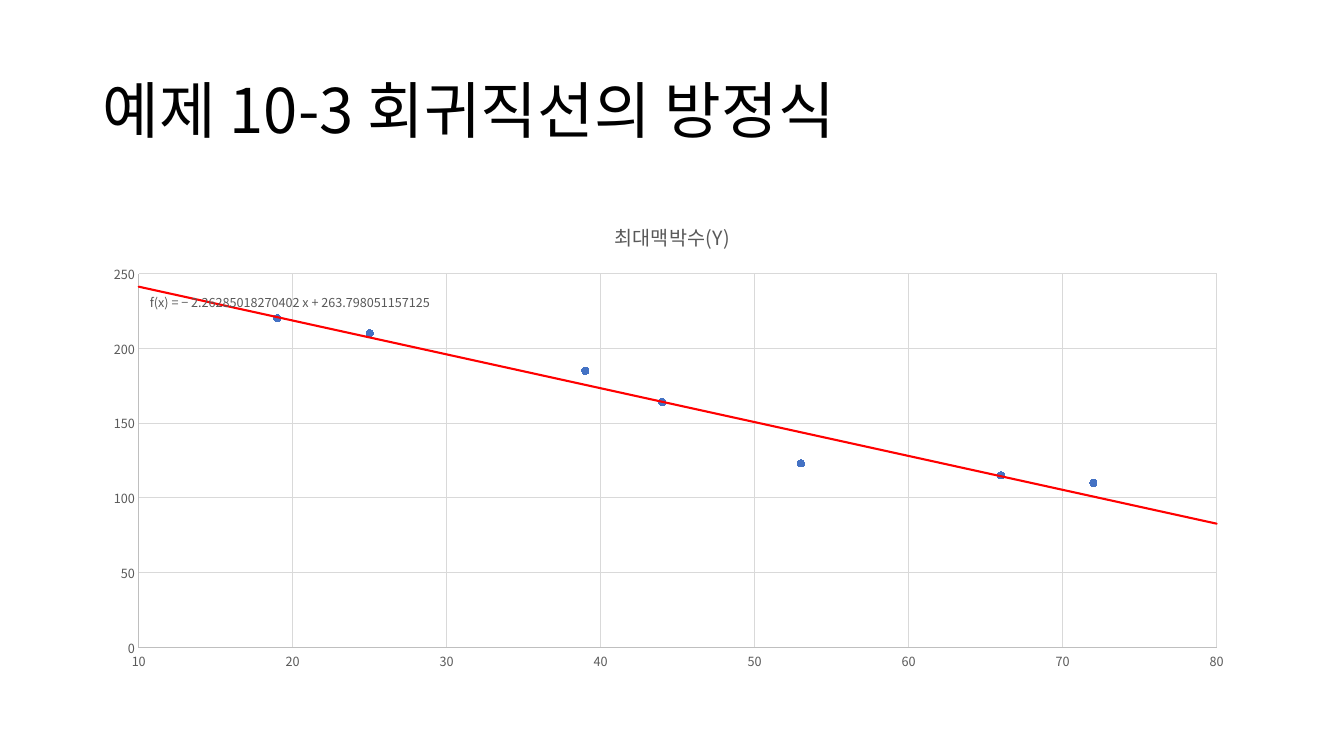
import pptx
import pptx.util
import pptx.chart.data
import pptx.dml.color
import pptx.enum.chart
import pptx.enum.text
import pptx.oxml
import pptx.oxml.ns

Pt = pptx.util.Pt
qn = pptx.oxml.ns.qn
nsdecls = pptx.oxml.ns.nsdecls
FONT = "Noto Sans CJK KR"
COLORS = {"title": "000000", "text": "595959", "axis": "BFBFBF",
          "grid": "D9D9D9", "marker": "4472C4", "trend": "FF0000"}
TITLE = "예제 10-3 회귀직선의 방정식"
SERIES = "최대맥박수(Y)"
EQUATION = "f(x) = − 2.26285018270402 x + 263.798051157125"
POINTS = [(25, 210), (39, 185), (19, 220), (44, 164),
          (53, 123), (66, 115), (72, 110)]
AGE_AXIS = {"minimum_scale": 10, "maximum_scale": 80, "major_unit": 10}
PULSE_AXIS = {"minimum_scale": 0, "maximum_scale": 250, "major_unit": 50}
TITLE_BOX = {"left": 66, "top": 28.75, "width": 828, "height": 104.4}
CHART_BOX = (66, 144, 828, 342.6)
EQUATION_BOX = (107, 208, 215, 16)
PLOT_AREA = {"x": 0.04, "y": 0.15, "w": 0.93, "h": 0.78}


def color(name):
    return pptx.dml.color.RGBColor.from_string(COLORS[name])


def set_font(font, size, name):
    for key, value in {"size": Pt(size), "name": FONT, "bold": False}.items():
        setattr(font, key, value)
    font.color.rgb = color(name)
    font._element.append(pptx.oxml.parse_xml(
        f'<a:ea {nsdecls("a")} typeface="{FONT}"/>'))


def set_line(line, name):
    line.color.rgb = color(name)
    line.width = Pt(0.75)


def style_axis(axis, scale):
    settings = {**scale, "has_major_gridlines": True, "has_title": False,
                "major_tick_mark": pptx.enum.chart.XL_TICK_MARK.NONE,
                "minor_tick_mark": pptx.enum.chart.XL_TICK_MARK.NONE}
    for key, value in settings.items():
        setattr(axis, key, value)
    set_line(axis.format.line, "axis")
    set_line(axis.major_gridlines.format.line, "grid")
    set_font(axis.tick_labels.font, 9, "text")
    axis.tick_labels.number_format = "General"
    axis.tick_labels.number_format_is_linked = False


def add_trend_line(series, scale):
    ages = [age for age, pulse in POINTS]
    forward = scale["maximum_scale"] - max(ages)
    backward = min(ages) - scale["minimum_scale"]
    trend = pptx.oxml.parse_xml(f'''
<c:trendline {nsdecls("c", "a")}>
  <c:spPr><a:ln w="{Pt(1.5)}" cap="rnd"><a:solidFill>
    <a:srgbClr val="{COLORS["trend"]}"/></a:solidFill></a:ln></c:spPr>
  <c:trendlineType val="linear"/>
  <c:forward val="{forward}"/><c:backward val="{backward}"/>
  <c:dispRSqr val="0"/><c:dispEq val="0"/>
</c:trendline>''')
    series._element.find(qn("c:xVal")).addprevious(trend)


def set_plot_area(chart):
    plot_area = chart._chartSpace.chart.plotArea
    for layout in plot_area.findall(qn("c:layout")):
        plot_area.remove(layout)
    sizes = "".join(f'<c:{key} val="{value}"/>' for key, value in PLOT_AREA.items())
    plot_area.insert(0, pptx.oxml.parse_xml(
        f'<c:layout {nsdecls("c")}><c:manualLayout><c:layoutTarget val="inner"/>'
        f'<c:xMode val="edge"/><c:yMode val="edge"/>{sizes}'
        '</c:manualLayout></c:layout>'))


def add_title(page):
    title = page.shapes.title
    for key, value in TITLE_BOX.items():
        setattr(title, key, Pt(value))
    frame = title.text_frame
    frame.text = TITLE
    frame.word_wrap = True
    frame.vertical_anchor = pptx.enum.text.MSO_ANCHOR.MIDDLE
    para = frame.paragraphs[0]
    para.alignment = pptx.enum.text.PP_ALIGN.LEFT
    para.line_spacing = 0.9
    set_font(para.runs[0].font, 44, "title")


def add_scatter(page):
    data = pptx.chart.data.XyChartData()
    entry = data.add_series(SERIES)
    for age, pulse in POINTS:
        entry.add_data_point(age, pulse)
    chart = page.shapes.add_chart(pptx.enum.chart.XL_CHART_TYPE.XY_SCATTER,
                                  *map(Pt, CHART_BOX), data).chart
    set_font(chart.font, 10, "title")
    chart.has_legend = False
    chart.has_title = True
    chart.chart_title.text_frame.text = SERIES
    set_font(chart.chart_title.text_frame.paragraphs[0].runs[0].font, 14, "text")
    style_axis(chart.category_axis, AGE_AXIS)
    style_axis(chart.value_axis, PULSE_AXIS)
    set_plot_area(chart)

    plot = chart.plots[0]
    plot.vary_by_categories = False
    series = plot.series[0]
    series.smooth = False
    series.format.line.fill.background()
    marker = series.marker
    marker.style = pptx.enum.chart.XL_MARKER_STYLE.CIRCLE
    marker.size = 5
    marker.format.fill.solid()
    marker.format.fill.fore_color.rgb = color("marker")
    set_line(marker.format.line, "marker")
    add_trend_line(series, AGE_AXIS)


def add_equation(page):
    frame = page.shapes.add_textbox(*map(Pt, EQUATION_BOX)).text_frame
    settings = {"word_wrap": True, "text": EQUATION,
                "vertical_anchor": pptx.enum.text.MSO_ANCHOR.MIDDLE,
                "margin_left": 0, "margin_top": 0,
                "margin_right": 0, "margin_bottom": 0}
    for key, value in settings.items():
        setattr(frame, key, value)
    set_font(frame.paragraphs[0].runs[0].font, 9, "text")


def main():
    deck = pptx.Presentation()
    deck.slide_width, deck.slide_height = Pt(960), Pt(540)
    page = deck.slides.add_slide(deck.slide_layouts[5])
    add_title(page)
    add_scatter(page)
    add_equation(page)
    deck.save("out.pptx")


if __name__ == "__main__":
    main()
